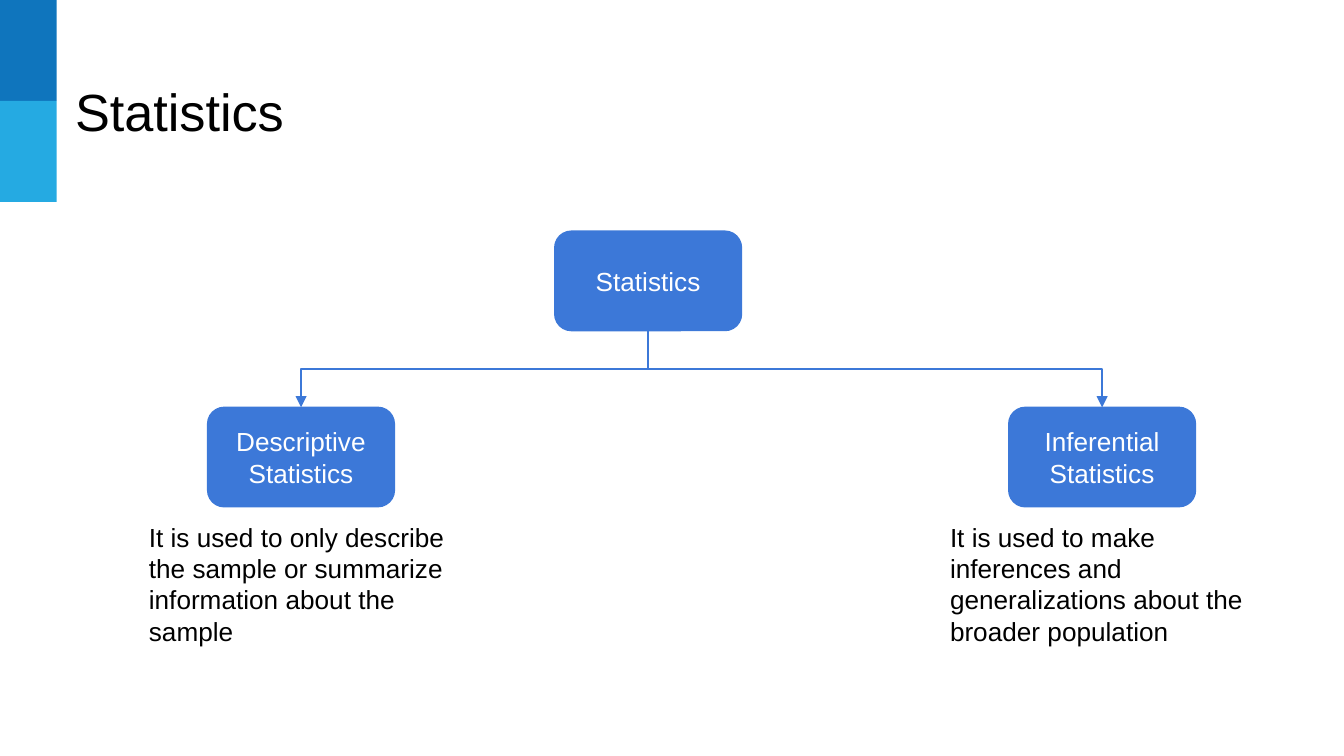
from pptx import Presentation
from pptx.dml.color import RGBColor
from pptx.enum.shapes import MSO_CONNECTOR, MSO_SHAPE
from pptx.enum.text import MSO_ANCHOR, PP_ALIGN
from pptx.oxml.ns import qn
from pptx.util import Cm, Pt
from lxml.etree import SubElement


def rgb(value):
    return RGBColor.from_string(value)


class TreeSlide:
    FONT = "Arial"
    NODE = "3C78D8"
    INK = "000000"
    WHITE = "FFFFFF"
    NODE_W, NODE_H = 3.53, 1.88
    NOTE_W, NOTE_H = 6.25, 2.97
    INSET = 0.25

    def __init__(self, slide):
        self.shapes = slide.shapes

    def set_text(self, shape, text, size, color, align=PP_ALIGN.LEFT, anchor=MSO_ANCHOR.TOP):
        frame = shape.text_frame
        frame.word_wrap = True
        frame.vertical_anchor = anchor
        frame.margin_left = frame.margin_right = Cm(self.INSET)
        frame.margin_top = frame.margin_bottom = Cm(self.INSET)
        paragraph = frame.paragraphs[0]
        paragraph.text = text
        paragraph.alignment = align
        paragraph.font.name = self.FONT
        paragraph.font.size = Pt(size)
        paragraph.font.color.rgb = rgb(color)

    def band(self, top, width, height, color):
        band = self.shapes.add_shape(
            MSO_SHAPE.RECTANGLE, Cm(0), Cm(top), Cm(width), Cm(height))
        band.shadow.inherit = False
        band.fill.solid()
        band.fill.fore_color.rgb = rgb(color)
        band.line.fill.background()

    def text(self, left, top, width, height, words, size):
        box = self.shapes.add_textbox(Cm(left), Cm(top), Cm(width), Cm(height))
        self.set_text(box, words, size, self.INK)

    def node(self, center, top, label):
        node = self.shapes.add_shape(
            MSO_SHAPE.ROUNDED_RECTANGLE, Cm(center - self.NODE_W / 2), Cm(top),
            Cm(self.NODE_W), Cm(self.NODE_H))
        node.shadow.inherit = False
        node.fill.solid()
        node.fill.fore_color.rgb = rgb(self.NODE)
        node.line.color.rgb = rgb(self.NODE)
        node.line.width = Pt(0.75)
        self.set_text(node, label, 14, self.WHITE, PP_ALIGN.CENTER, MSO_ANCHOR.MIDDLE)

    def branch(self, x1, y1, x2, y2):
        """Elbow arrow that leaves downwards: a sideways elbow, turned a quarter."""
        mid_x, mid_y = (x1 + x2) / 2, (y1 + y2) / 2
        half_w, half_h = (y2 - y1) / 2, abs(x2 - x1) / 2
        to_right = x2 > x1
        if to_right:
            half_w = -half_w
        arrow = self.shapes.add_connector(
            MSO_CONNECTOR.ELBOW, Cm(mid_x - half_w), Cm(mid_y - half_h),
            Cm(mid_x + half_w), Cm(mid_y + half_h))
        arrow.line.color.rgb = rgb(self.NODE)
        arrow.line.width = Pt(0.75)
        properties = arrow.element.spPr
        quarter_turn = 90 * 60000
        properties.find(qn("a:xfrm")).set("rot", str(quarter_turn * (3 if to_right else 1)))
        SubElement(properties.find(qn("a:ln")), qn("a:tailEnd"), type="triangle")
        SubElement(properties, qn("a:effectLst"))


def main():
    deck = Presentation()
    deck.slide_width, deck.slide_height = Cm(25.4), Cm(14.29)
    tree = TreeSlide(deck.slides.add_slide(deck.slide_layouts[6]))

    band_h = 1.91
    for i, color in enumerate(("0F75BD", "25AAE2")):
        tree.band(i * band_h, 1.07, band_h, color)
    tree.text(1.17, 1.24, 18.72, 1.6, "Statistics", 28)

    root_x, root_y, kind_y, note_y = 12.25, 4.37, 7.7, 9.6
    kinds = [
        (5.69, "Descriptive Statistics",
         "It is used to only describe the sample or summarize information about the sample"),
        (20.83, "Inferential Statistics",
         "It is used to make inferences and generalizations about the broader population"),
    ]
    tree.node(root_x, root_y, "Statistics")
    for center, label, meaning in kinds:
        tree.node(center, kind_y, label)
        tree.branch(root_x, root_y + tree.NODE_H, center, kind_y)
        tree.text(center - tree.NOTE_W / 2, note_y, tree.NOTE_W, tree.NOTE_H, meaning, 14)

    deck.save("out.pptx")


if __name__ == "__main__":
    main()
